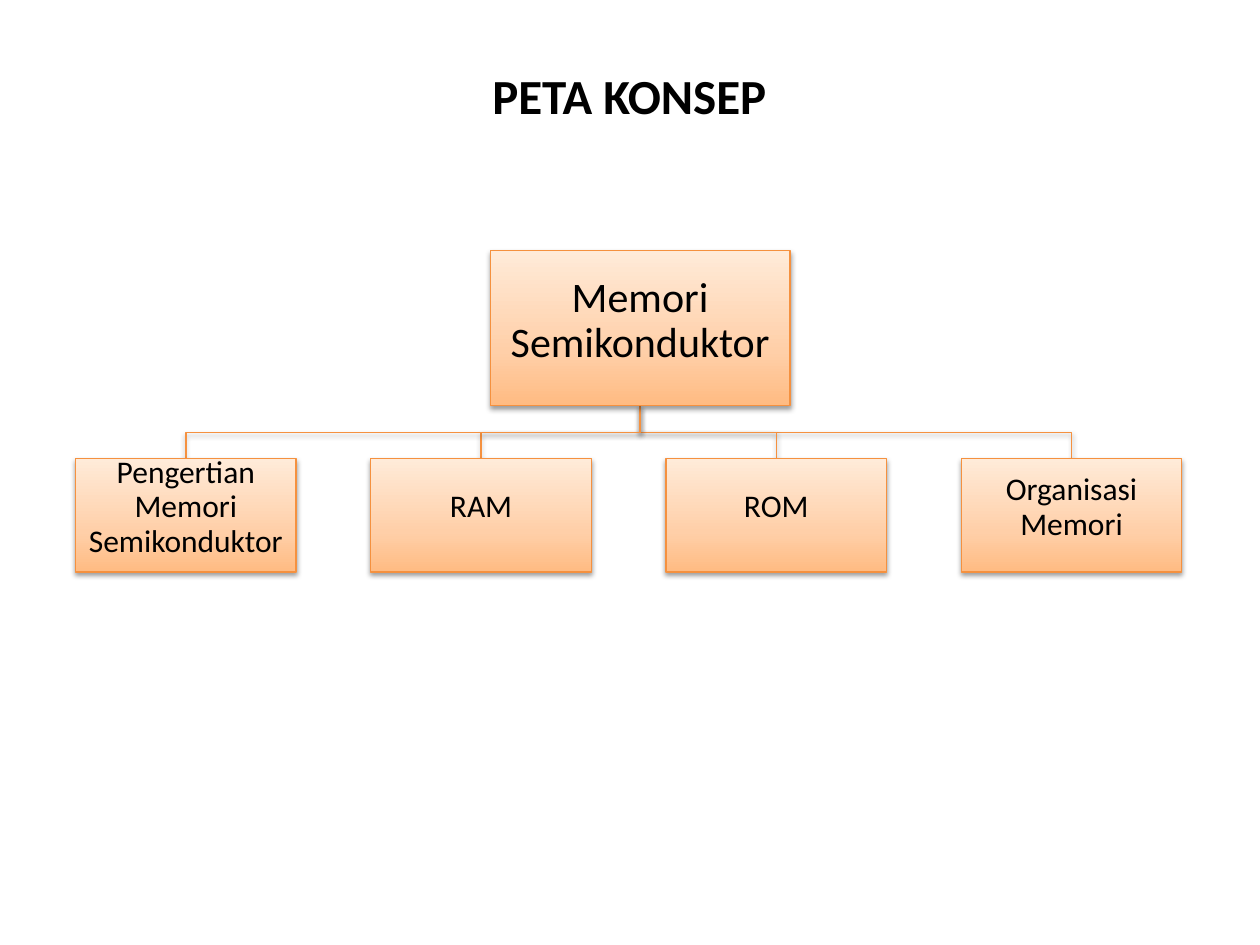
from lxml.etree import SubElement
from pptx import Presentation
from pptx.dml.color import RGBColor
from pptx.enum.shapes import MSO_SHAPE
from pptx.enum.text import MSO_ANCHOR, MSO_AUTO_SIZE, PP_ALIGN
from pptx.oxml.ns import qn
from pptx.util import Inches, Pt

# Content
TITLE = "PETA KONSEP"
ROOT = "Memori Semikonduktor"
LEAVES = ["Pengertian Memori Semikonduktor", "RAM", "ROM", "Organisasi Memori"]

# Theme
THEME = {
    "font": "Calibri", "ink": "000000", "line": "F5913F", "width": 0.75,
    "fade": [(0, "FFBB82"), (35, "FFCFA8"), (100, "FFEBD9")],
    "title": 28, "root": 24, "leaf": 18,
}

# Grid in inches
LEFT, STEP = 0.6, 2.343
ROOT_BOX = (3.89, 1.99, 2.38, 1.23)
LEAF_TOP, LEAF_W, LEAF_H = 3.64, 1.75, 0.9


def write(frame, text, size, bold=False):
    par = frame.paragraphs[0]
    par.alignment = PP_ALIGN.CENTER
    run = par.add_run()
    run.text = text
    run.font.name = THEME["font"]
    run.font.size = Pt(size)
    run.font.bold = bold
    run.font.color.rgb = RGBColor.from_string(THEME["ink"])
    return par


def edge(shape):
    """Orange outline with a soft shadow below."""
    shape.line.color.rgb = RGBColor.from_string(THEME["line"])
    shape.line.width = Pt(THEME["width"])
    shape.shadow.inherit = False
    glow = SubElement(shape._element.spPr.find(qn("a:effectLst")), qn("a:outerShdw"),
                      blurRad=str(Pt(3.1)), dist=str(Pt(1.6)),
                      dir="5400000", rotWithShape="0")
    tint = SubElement(glow, qn("a:srgbClr"), val="000000")
    SubElement(tint, qn("a:alpha"), val="38000")


def fade(shape):
    shape.fill.gradient()
    shape.fill.gradient_angle = 90
    stops = shape._element.spPr.find(qn("a:gradFill")).find(qn("a:gsLst"))
    for stop in list(stops):
        stops.remove(stop)
    for pos, color in THEME["fade"]:
        stop = SubElement(stops, qn("a:gs"), pos=str(pos * 1000))
        SubElement(stop, qn("a:srgbClr"), val=color)


def add_box(slide, text, place, size, pad):
    box = slide.shapes.add_shape(MSO_SHAPE.RECTANGLE, *map(Inches, place))
    fade(box)
    edge(box)
    frame = box.text_frame
    frame.word_wrap = True
    frame.vertical_anchor = MSO_ANCHOR.MIDDLE
    frame.margin_left = frame.margin_right = frame.margin_top = Inches(pad)
    frame.margin_bottom = Inches(0.13)
    write(frame, text, size).line_spacing = 0.9


def add_link(slide, start, end):
    (x1, y1), (x2, y2) = start, end
    mid = (y1 + y2) / 2
    path = slide.shapes.build_freeform(Inches(x1), Inches(y1))
    path.add_line_segments([(Inches(x), Inches(y)) for x, y in
                            ((x1, mid), (x2, mid), (x2, y2))], close=False)
    link = path.convert_to_shape()
    link.fill.background()
    edge(link)


def main():
    deck = Presentation()
    deck.slide_width, deck.slide_height = Inches(10), Inches(7.5)
    slide = deck.slides.add_slide(deck.slide_layouts[5])

    # Title
    title = slide.shapes.title
    title.left, title.top, title.width, title.height = map(Inches, (1.17, 0.47, 7.65, 0.57))
    title.text_frame.word_wrap = True
    title.text_frame.vertical_anchor = MSO_ANCHOR.TOP
    title.text_frame.auto_size = MSO_AUTO_SIZE.SHAPE_TO_FIT_TEXT
    write(title.text_frame, TITLE, THEME["title"], bold=True)

    # Links lie behind the boxes
    x, y, w, h = ROOT_BOX
    lefts = [LEFT + i * STEP for i in range(len(LEAVES))]
    for left in reversed(lefts):
        add_link(slide, (x + w / 2, y + h), (left + LEAF_W / 2, LEAF_TOP))

    # Root and leaves
    add_box(slide, ROOT, ROOT_BOX, THEME["root"], 0.02)
    for left, text in zip(lefts, LEAVES):
        add_box(slide, text, (left, LEAF_TOP, LEAF_W, LEAF_H), THEME["leaf"], 0.01)

    deck.save("out.pptx")


if __name__ == "__main__":
    main()
